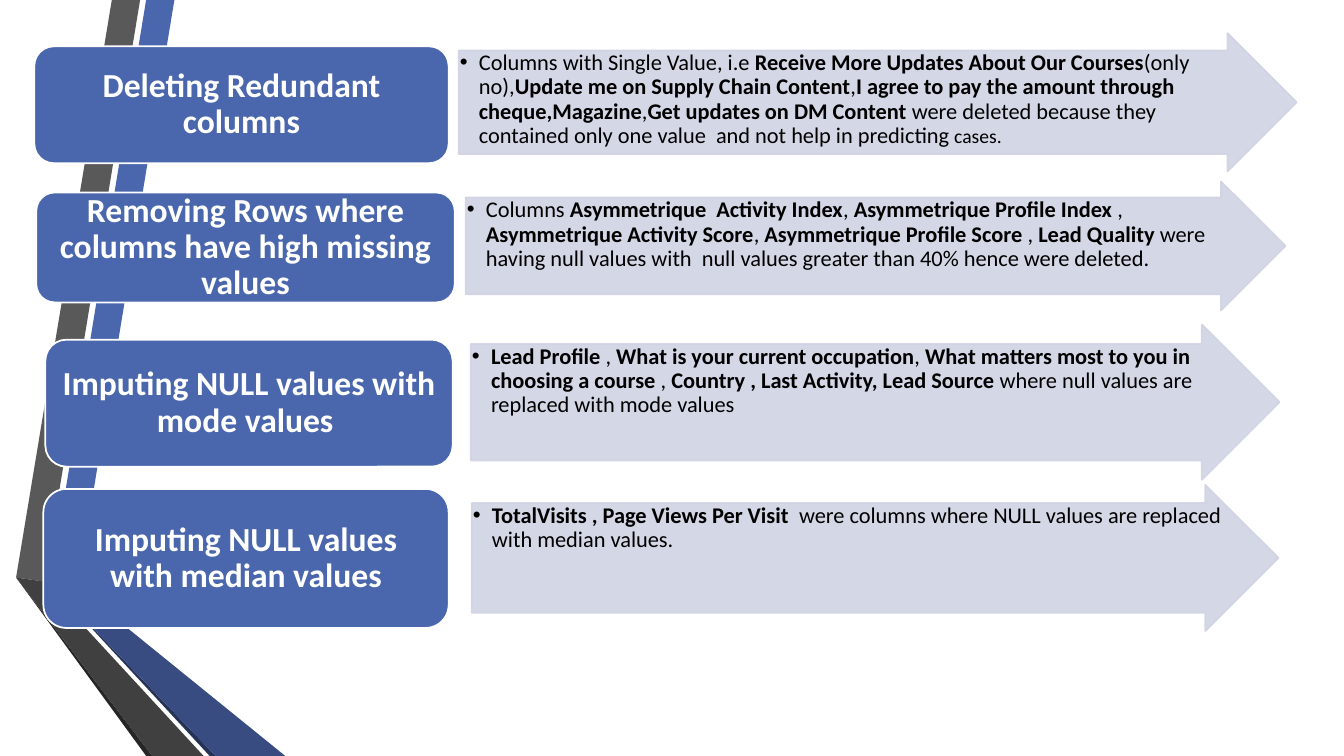
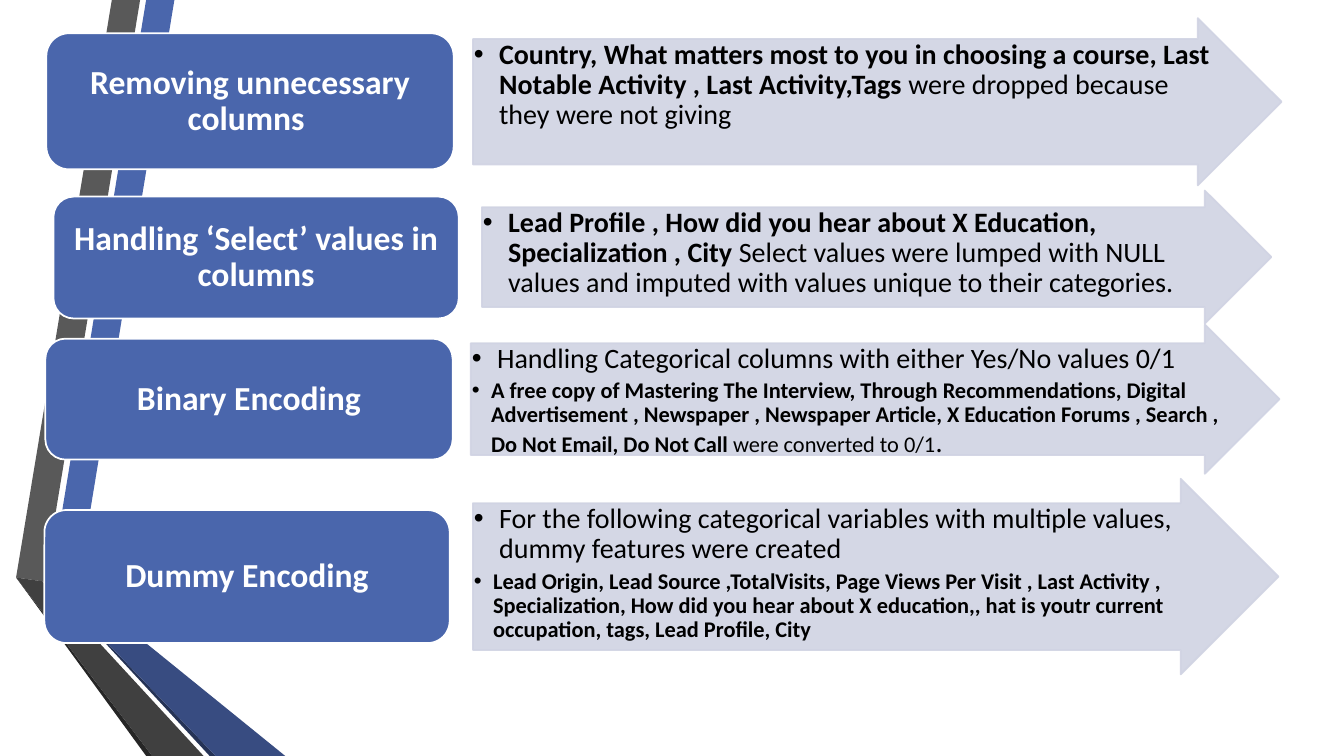
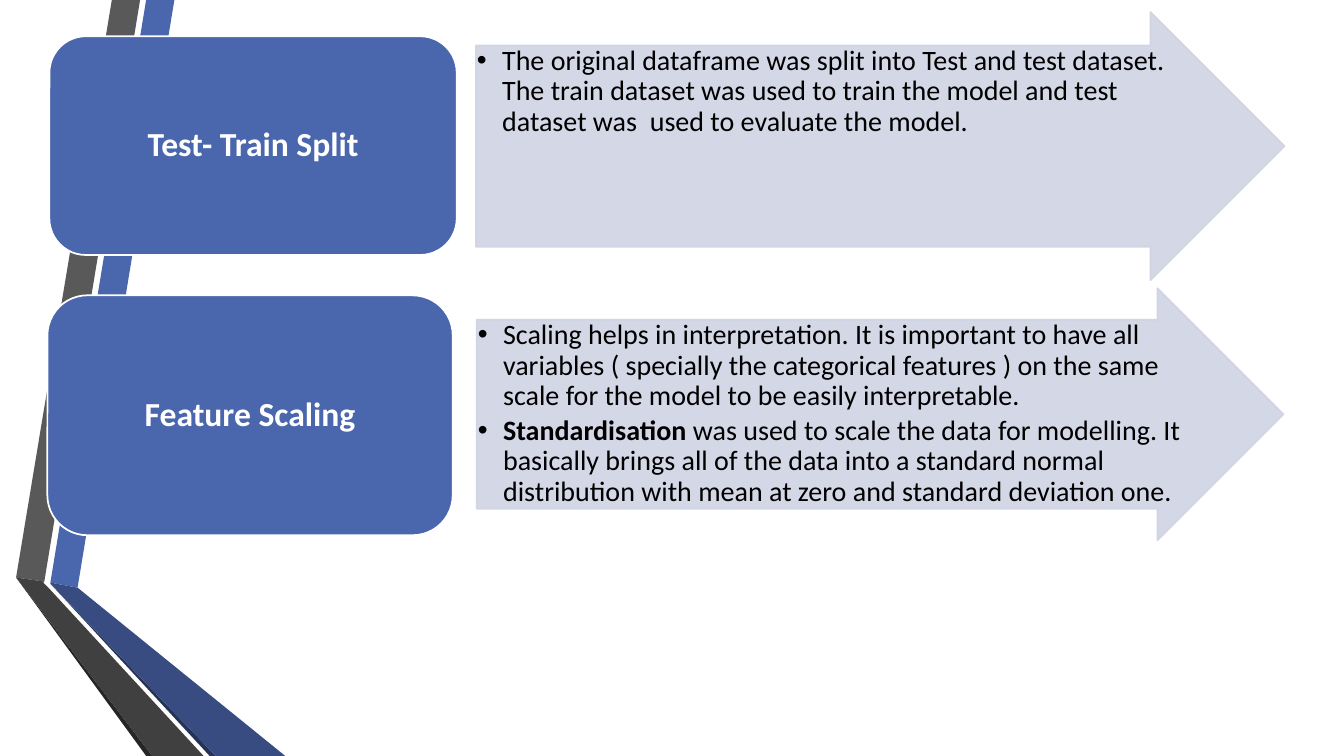
"""Build three slides on data cleaning, encoding and scaling steps."""
from lxml import etree
from pptx import Presentation
from pptx.dml.color import RGBColor
from pptx.enum.shapes import MSO_SHAPE
from pptx.enum.text import MSO_ANCHOR, PP_ALIGN
from pptx.oxml.ns import qn
from pptx.util import Inches, Pt

ARROW, ROUNDED = MSO_SHAPE.RIGHT_ARROW, MSO_SHAPE.ROUNDED_RECTANGLE
TOP, MIDDLE = MSO_ANCHOR.TOP, MSO_ANCHOR.MIDDLE
LEFT, CENTER = PP_ALIGN.LEFT, PP_ALIGN.CENTER

FONT = "Calibri"
BLUE, PALE, WHITE, BLACK = "4A66AC", "D0D3E3", "FFFFFF", "000000"
BULLET_INDENT = {16: 0.19, 20: 0.25}
ARROW_FRAME = {"margin_left": Inches(0.01), "margin_right": Inches(0.01),
               "margin_top": Inches(0.01), "margin_bottom": Inches(0.01),
               "vertical_anchor": TOP, "word_wrap": True}
LABEL_FRAME = {"vertical_anchor": MIDDLE, "word_wrap": True}

RIBBONS = [
    (BLUE, [(0.5, 5.78), (0.77, 5.83), (1.73, 0), (1.45, 0)]),
    ("595959", [(1.39, 0), (1.11, 0), (0.16, 5.73), (0.44, 5.77)]),
    ("262626", [(0.16, 5.73), (1.45, 7.5), (1.51, 7.5)]),
    ("253356", [(0.5, 5.79), (2.08, 7.5), (2.14, 7.5)]),
    ("384C81", [(0.5, 5.79), (2.14, 7.5), (2.83, 7.5), (0.77, 5.83), (0.5, 5.78)]),
    ("404040", [(2.02, 7.5), (0.48, 5.83), (0.43, 5.78), (0.44, 5.77),
                (0.16, 5.73), (1.51, 7.5)]),
]

# Each step: label, label place, arrow place, paragraphs of (size, text) parts; ** toggles bold.
PAGES = [
    [
        ("Deleting Redundant columns", (0.34, 0.46, 4.11, 1.16), (4.55, 0.33, 8.31, 1.37),
         [[(16, "Columns with Single Value, i.e **Receive More Updates About Our Courses**"
                "(only no),**Update me on Supply Chain Content**,**I agree to pay the amount "
                "through cheque,Magazine**,**Get updates on DM Content** were deleted because "
                "they contained only one value  and not help in predicting"),
           (14, " cases.")]]),
        ("Removing Rows where columns have high missing values",
         (0.36, 1.91, 4.15, 1.09), (4.62, 1.8, 8.13, 1.28),
         [[(16, "Columns **Asymmetrique  Activity Index**, **Asymmetrique Profile Index** , "
                "**Asymmetrique Activity Score**, **Asymmetrique Profile Score** , "
                "**Lead Quality** were having null values with  null values greater than 40% "
                "hence were deleted.")]]),
        ("Imputing NULL values with mode values ", (0.45, 3.37, 4.04, 1.26),
         (4.67, 3.22, 8.02, 1.54),
         [[(16, "**Lead Profile **, **What is your current occupation**, **What matters most "
                "to you in choosing a course** , **Country , Last Activity, Lead Source **"
                "where null values are replaced with mode values")]]),
        ("Imputing NULL values with median values", (0.43, 4.85, 4.02, 1.38),
         (4.68, 4.81, 8, 1.45),
         [[(16, "**TotalVisits , Page Views Per Visit  **were columns where NULL values are "
                "replaced with median values.")]]),
    ],
    [
        ("Removing unnecessary columns ", (0.46, 0.33, 4.04, 1.35), (4.69, 0.18, 8.02, 1.66),
         [[(20, "**Country, What matters most to you in choosing a course, Last Notable "
                "Activity , Last Activity,Tags **were dropped because they were not giving")]]),
        ("Handling ‘Select’ values in columns", (0.53, 1.95, 4.02, 1.21),
         (4.78, 1.89, 7.83, 1.32),
         [[(20, "**Lead Profile , How did you hear about X Education, Specialization , City **"
                "Select values were lumped with NULL values and imputed with values unique "
                "to their categories.")]]),
        ("Binary Encoding", (0.45, 3.36, 4.04, 1.2), (4.67, 3.22, 8.02, 1.48),
         [[(20, "Handling Categorical columns with either Yes/No values 0/1")],
          [(16, "**A free copy of Mastering The Interview, Through Recommendations, Digital "
                "Advertisement , Newspaper , Newspaper Article, X Education Forums , Search , "
                "Do Not Email, Do Not Call **were converted to 0/1"),
           (20, ".")]]),
        ("Dummy Encoding", (0.44, 5.06, 4.02, 1.32), (4.69, 4.75, 7.99, 1.94),
         [[(20, "For the following categorical variables with multiple values, dummy "
                "features were created")],
          [(16, "**Lead Origin, Lead Source ,TotalVisits, Page Views Per Visit , Last "
                "Activity , Specialization, How did you hear about X education,, hat is youtr "
                "current occupation, tags, Lead Profile, City**")]]),
    ],
    [
        ("Test- Train Split", (0.49, 0.36, 4.04, 2.17), (4.72, 0.12, 8.02, 2.66),
         [[(20, "The original dataframe was split into Test and test dataset. The train "
                "dataset was used to train the model and test dataset was  used to evaluate "
                "the model.")]]),
        ("Feature Scaling", (0.47, 2.93, 4.02, 2.38), (4.73, 2.86, 8, 2.5),
         [[(20, "Scaling helps in interpretation. It is important to have all variables "
                "( specially the categorical features ) on the same scale for the model to be "
                "easily interpretable.")],
          [(20, "**Standardisation **was used to scale the data for modelling. It basically "
                "brings all of the data into a standard normal distribution with mean at zero "
                "and standard deviation one.")]]),
    ],
]


def color(value):
    return RGBColor.from_string(value)


def paint(shape, fill, line=None):
    shape.shadow.inherit = False
    shape.fill.solid()
    shape.fill.fore_color.rgb = color(fill)
    if line is None:
        shape.line.fill.background()
    else:
        shape.line.color.rgb = color(line)
        shape.line.width = Pt(1.25)


def set_opacity(shape, percent):
    for solid in shape._element.spPr.iter(qn("a:solidFill")):
        etree.SubElement(solid[0], qn("a:alpha"), val=str(percent * 1000))


def add_block(page, kind, place, fill, line, frame_format):
    block = page.shapes.add_shape(kind, *map(Inches, place))
    paint(block, fill, line)
    for name, value in frame_format.items():
        setattr(block.text_frame, name, value)
    return block


def write(para, parts, align, ink):
    para.alignment = align
    para.line_spacing = 0.9
    for size, text in parts:
        for index, piece in enumerate(text.split("**")):
            if piece:
                span = para.add_run()
                span.text = piece
                font = {"name": FONT, "size": Pt(size), "bold": index % 2 == 1}
                for name, value in font.items():
                    setattr(span.font, name, value)
                span.font.color.rgb = color(ink)


def add_bullet(para, size):
    para.level = 1
    para.space_after = Pt(size * 0.18)
    indent = Inches(BULLET_INDENT[size])
    properties = para._p.get_or_add_pPr()
    properties.set("marL", str(indent))
    properties.set("indent", str(-indent))
    etree.SubElement(properties, qn("a:buFont"), typeface="Arial")
    etree.SubElement(properties, qn("a:buChar"), char="•")


def add_ribbons(page):
    for fill, points in RIBBONS:
        corners = [(Inches(x), Inches(y)) for x, y in points]
        builder = page.shapes.build_freeform(*corners[0])
        builder.add_line_segments(corners[1:], close=True)
        paint(builder.convert_to_shape(), fill)


def add_step(page, label, label_place, arrow_place, paragraphs):
    arrow = add_block(page, ARROW, arrow_place, PALE, PALE, ARROW_FRAME)
    arrow.adjustments[0], arrow.adjustments[1] = 0.75, 0.5
    set_opacity(arrow, 90)
    frame = arrow.text_frame
    for index, parts in enumerate(paragraphs):
        para = frame.add_paragraph() if index else frame.paragraphs[0]
        write(para, parts, LEFT, BLACK)
        add_bullet(para, parts[0][0])
    box = add_block(page, ROUNDED, label_place, BLUE, WHITE, LABEL_FRAME)
    write(box.text_frame.paragraphs[0], [(24, f"**{label}**")], CENTER, WHITE)


def main():
    deck = Presentation()
    deck.slide_width, deck.slide_height = Inches(13.33), Inches(7.5)
    for steps in PAGES:
        page = deck.slides.add_slide(deck.slide_layouts[6])
        add_ribbons(page)
        for step in steps:
            add_step(page, *step)
    deck.save("out.pptx")


if __name__ == "__main__":
    main()
